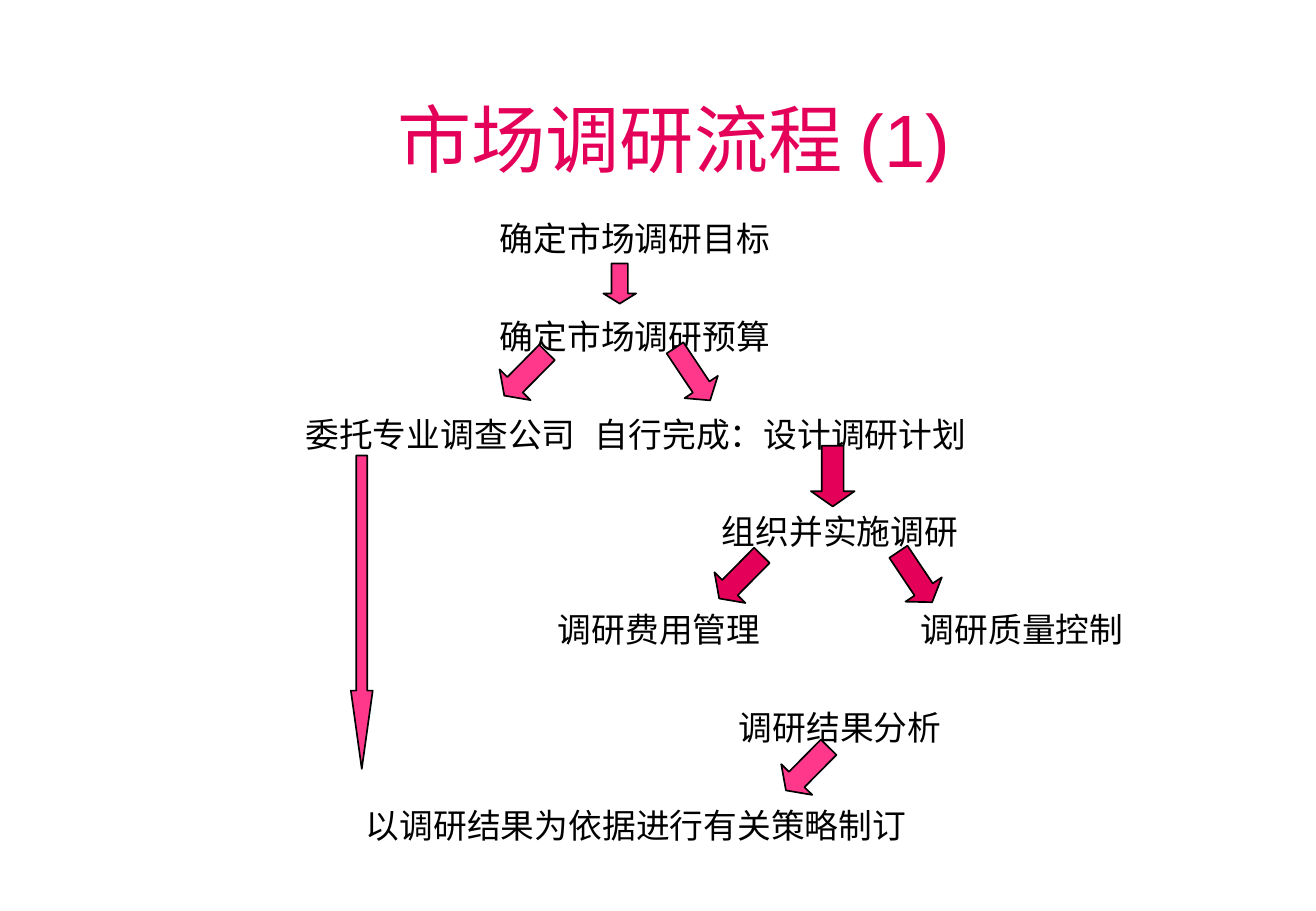
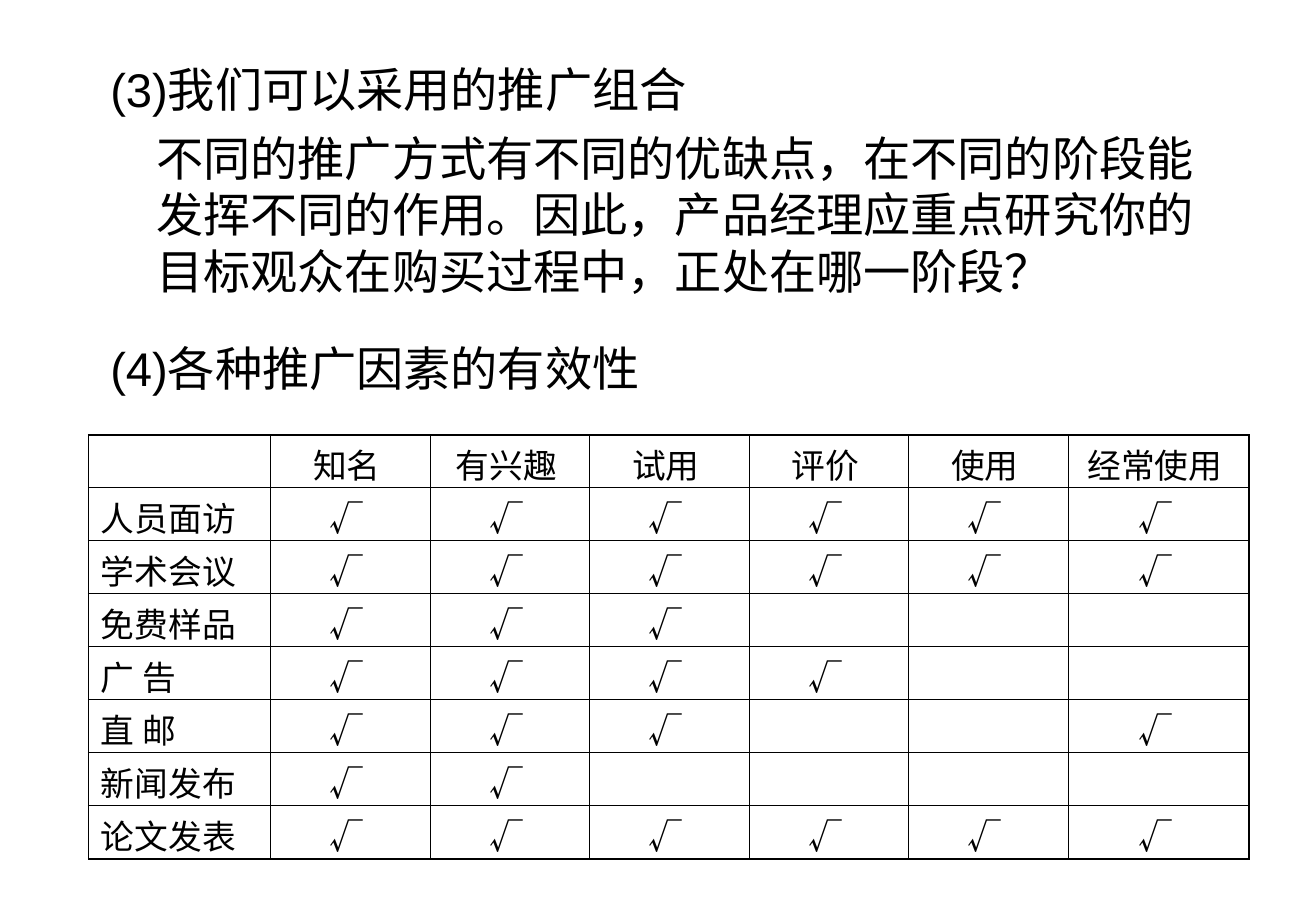
from dataclasses import dataclass

from lxml.etree import SubElement
from pptx import Presentation
from pptx.dml.color import RGBColor
from pptx.enum.shapes import MSO_SHAPE as Preset
from pptx.enum.text import MSO_ANCHOR as Anchor, MSO_AUTO_SIZE as AutoSize, PP_ALIGN as Align
from pptx.oxml.ns import qn
from pptx.util import Inches, Pt


@dataclass(frozen=True)
class Theme:
    """Colours, fonts and type sizes shared by the slides."""
    ink: str = "000000"
    crimson: str = "E40059"
    pink: str = "FF388C"
    latin: str = "Arial"
    chinese: str = "Noto Sans CJK SC"
    title: int = 44
    body: int = 28
    label: int = 20
    outer_border: float = 1.08
    inner_border: float = 0.45


THEME = Theme()
SLIDE_SIZE = (10.84, 7.5)

STEPS = [
    (0, 4.69, "确定市场调研目标"),
    (1, 4.69, "确定市场调研预算"),
    (2, 3.09, "委托专业调查公司"),
    (2, 5.89, "自行完成：设计调研计划"),
    (3, 6.38, "组织并实施调研"),
    (4, 4.89, "调研费用管理"),
    (4, 7.88, "调研质量控制"),
    (5, 6.38, "调研结果分析"),
    (6, 4.70, "以调研结果为依据进行有关策略制订"),
]

ARROWS = [
    (4.43, 0.42, 0.27, 0.33, 0, 0.31, THEME.pink),
    (3.61, 1.08, 0.36, 0.5, 44.7, 0.35, THEME.pink),
    (5.0, 1.07, 0.33, 0.52, 326.2, 0.4, THEME.pink),
    (6.14, 1.92, 0.36, 0.5, 0, 0.35, THEME.crimson),
    (5.38, 2.75, 0.36, 0.5, 44.7, 0.35, THEME.crimson),
    (6.82, 2.75, 0.36, 0.5, 326.2, 0.35, THEME.crimson),
    (2.35, 2.0, 0.18, 2.58, 0, 3.58, THEME.pink),
    (5.93, 4.33, 0.36, 0.5, 44.7, 0.35, THEME.pink),
]

PROMOTION_TEXT = [
    ("(3)我们可以采用的推广组合", 0, 0),
    ("不同的推广方式有不同的优缺点，在不同的阶段能发挥不同的作用。"
     "因此，产品经理应重点研究你的目标观众在购买过程中，正处在哪一阶段？", 0.38, 7),
    ("(4)各种推广因素的有效性", 0, 24.5),
]

STAGES = ["知名", "有兴趣", "试用", "评价", "使用", "经常使用"]
EFFECTIVENESS = [
    ("人员面访", {0, 1, 2, 3, 4, 5}),
    ("学术会议", {0, 1, 2, 3, 4, 5}),
    ("免费样品", {0, 1, 2}),
    ("广 告", {0, 1, 2, 3}),
    ("直 邮", {0, 1, 2, 5}),
    ("新闻发布", {0, 1}),
    ("论文发表", {0, 1, 2, 3, 4, 5}),
]


def style_paragraph(paragraph, size, color=THEME.ink, align=Align.LEFT, latin=THEME.latin):
    """Align a paragraph and set the type of its runs."""
    paragraph.alignment = align
    for run in paragraph.runs:
        run.font.size = Pt(size)
        run.font.name = latin
        run.font.color.rgb = RGBColor.from_string(color)
        SubElement(run.font._element, qn("a:ea")).set("typeface", THEME.chinese)


def add_text_box(slide, left, top, width, height):
    """Add a wrapping text box and return its text frame."""
    box = slide.shapes.add_textbox(Inches(left), Inches(top), Inches(width), Inches(height))
    box.text_frame.word_wrap = True
    return box.text_frame


def place_title(slide, text, left, top, width, height):
    """Move the title placeholder into a box and format it."""
    title = slide.shapes.title
    title.left, title.top = Inches(left), Inches(top)
    title.width, title.height = Inches(width), Inches(height)
    text_frame = title.text_frame
    text_frame.text = text
    text_frame.auto_size = AutoSize.NONE
    text_frame.vertical_anchor = Anchor.BOTTOM
    text_frame.margin_bottom = 0
    style_paragraph(text_frame.paragraphs[0], THEME.title, THEME.crimson, Align.CENTER)


def add_step(slide, text, center_x, center_y):
    """Add one process step centred on a point."""
    width, height = len(text) * THEME.label / 72 + 0.4, 0.5
    text_frame = add_text_box(slide, center_x - width / 2, center_y - height / 2, width, height)
    text_frame.text = text
    text_frame.vertical_anchor = Anchor.MIDDLE
    style_paragraph(text_frame.paragraphs[0], THEME.label, align=Align.CENTER)


def add_arrow(slide, left, top, width, height, rotation, head, color):
    """Add an outlined block arrow."""
    arrow = slide.shapes.add_shape(
        Preset.DOWN_ARROW, Inches(left), Inches(top), Inches(width), Inches(height))
    arrow.adjustments[1] = head
    arrow.rotation = rotation
    arrow.shadow.inherit = False
    arrow.fill.solid()
    arrow.fill.fore_color.rgb = RGBColor.from_string(color)
    arrow.line.color.rgb = RGBColor.from_string(THEME.ink)
    arrow.line.width = Pt(1)


def add_process(slide, left, top):
    """Place the process steps in even rows, with their arrows on top."""
    row_pitch, first_center = 0.805, 0.21
    for row, offset, text in STEPS:
        add_step(slide, text, left + offset, top + first_center + row * row_pitch)
    for offset_x, offset_y, *arrow in ARROWS:
        add_arrow(slide, left + offset_x, top + offset_y, *arrow)


def add_promotion_text(slide, left, top, width, height):
    """Write the headings and the indented passage."""
    text_frame = add_text_box(slide, left, top, width, height)
    text_frame.margin_top = Inches(0.08)
    for index, (text, indent, space) in enumerate(PROMOTION_TEXT):
        paragraph = text_frame.add_paragraph() if index else text_frame.paragraphs[0]
        paragraph.text = text
        paragraph.line_spacing = Pt(33.5)
        if space:
            paragraph.space_before = Pt(space)
        if indent:
            paragraph._p.get_or_add_pPr().set("marL", str(Inches(indent)))
        style_paragraph(paragraph, THEME.body)


def set_borders(cell, widths):
    """Draw the left, right, top and bottom borders of a cell."""
    properties = cell._tc.get_or_add_tcPr()
    for index, (side, width) in enumerate(zip("LRTB", widths)):
        line = SubElement(properties, qn(f"a:ln{side}"), w=str(Pt(width)))
        fill = SubElement(line, qn("a:solidFill"))
        SubElement(fill, qn("a:srgbClr"), val=THEME.ink)
        properties.insert(index, line)


def fill_cell(cell, text, align):
    """Write a cell whose text rests on its lower edge."""
    cell.fill.background()
    cell.margin_top = cell.margin_bottom = 0
    cell.margin_left = Inches(0.1)
    cell.margin_right = Inches(0.16)
    cell.vertical_anchor = Anchor.BOTTOM
    cell.text = text
    style_paragraph(cell.text_frame.paragraphs[0], THEME.label, align=align, latin=THEME.chinese)


def add_effectiveness_table(slide, left, top, width, height):
    """Tabulate which promotion works at which stage."""
    grid = [["", *STAGES]]
    for method, marked in EFFECTIVENESS:
        grid.append([method, *("√" if stage in marked else "" for stage in range(len(STAGES)))])
    last_row, last_column = len(grid) - 1, len(STAGES)
    table = slide.shapes.add_table(
        last_row + 1, last_column + 1,
        Inches(left), Inches(top), Inches(width), Inches(height)).table
    table.first_row = table.horz_banding = False
    first_width, last_width = 1.5, 1.49
    inner_width = (width - first_width - last_width) / (last_column - 1)
    column_widths = [first_width, *[inner_width] * (last_column - 1), last_width]
    for column, column_width in zip(table.columns, column_widths):
        column.width = Inches(column_width)
    for row_index, texts in enumerate(grid):
        table.rows[row_index].height = Inches(height / len(grid))
        for column_index, text in enumerate(texts):
            cell = table.cell(row_index, column_index)
            fill_cell(cell, text, Align.CENTER if column_index else Align.LEFT)
            on_edge = (column_index == 0, column_index == last_column,
                       row_index == 0, row_index == last_row)
            set_borders(cell, [THEME.outer_border if edge else THEME.inner_border
                               for edge in on_edge])


def build_process_slide(presentation):
    """Build the research process slide."""
    slide = presentation.slides.add_slide(presentation.slide_layouts[5])
    place_title(slide, "市场调研流程 (1)", 0.54, 0.29, 10.02, 1.21)
    add_process(slide, 0.54, 1.75)


def build_promotion_slide(presentation):
    """Build the promotion mix slide."""
    slide = presentation.slides.add_slide(presentation.slide_layouts[6])
    add_promotion_text(slide, 0.81, 0.42, 9.21, 3)
    add_effectiveness_table(slide, 0.73, 3.58, 9.56, 3.49)


def main():
    """Build and save the presentation."""
    presentation = Presentation()
    presentation.slide_width, presentation.slide_height = map(Inches, SLIDE_SIZE)
    build_process_slide(presentation)
    build_promotion_slide(presentation)
    presentation.save("out.pptx")


if __name__ == "__main__":
    main()
